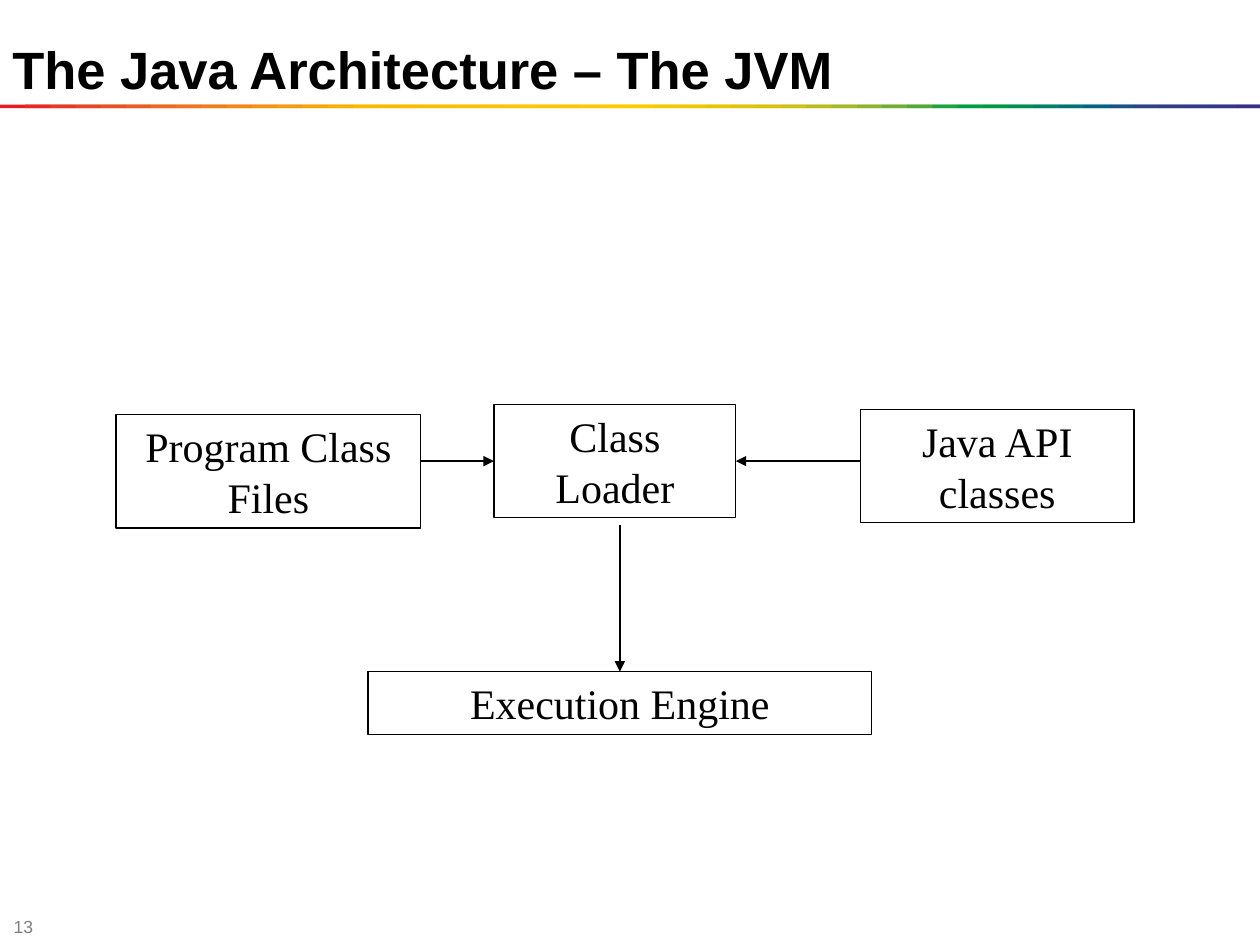
import pptx
import pptx.util
import pptx.dml.color
import pptx.enum.shapes
import pptx.enum.text
import pptx.oxml

Inches = pptx.util.Inches
ANCHOR = pptx.enum.text.MSO_ANCHOR
ALIGN = pptx.enum.text.PP_ALIGN
RECT = pptx.enum.shapes.MSO_SHAPE.RECTANGLE
LINE = pptx.enum.shapes.MSO_CONNECTOR.STRAIGHT
DRAW = 'xmlns:a="http://schemas.openxmlformats.org/drawingml/2006/main"'

TITLE = {"name": "Arial", "size": 30, "bold": True, "color": "000000"}
NUMBER = {"name": "Arial", "size": 10, "color": "7F7F7F"}
LABEL = {"name": "Times New Roman", "size": 24, "color": "000000"}

STRIPS = """
E31E24 E42C24 E53A24 E74623 E85122 EA5D21 EC691F EE741D EF7E1A F18817
F39314 F49C0F F6A607 F8B002 FBBA00 FBBB00 FBBD00 FCBF00 FCC000 FCC200
FDC400 FDC600 FDC700 FEC900 FECB00 FBCB00 F3CA00 ECC800 E4C602 DCC50A
D5C30E CCC117 B8BC21 A3B829 8CB230 71AD36 51A73B 1DA240 009D43 009846
008C57 008068 007275 00637F 185384 2E4285 313E85 333B85 353885 393185
""".split()


def color(code):
    return pptx.dml.color.RGBColor.from_string(code)


def write(shape, text, style, anchor, align):
    frame = shape.text_frame
    frame.word_wrap = True
    frame.vertical_anchor = anchor
    para = frame.paragraphs[0]
    para.alignment = align
    run = para.add_run()
    run.text = text
    for key, value in style.items():
        if key == "color":
            run.font.color.rgb = color(value)
        elif key == "size":
            run.font.size = pptx.util.Pt(value)
        else:
            setattr(run.font, key, value)


def add_text(slide, place, text, style, anchor):
    shape = slide.shapes.add_textbox(*map(Inches, place))
    write(shape, text, style, anchor, ALIGN.LEFT)


def add_rule(slide, top, height):
    group = slide.shapes.add_group_shape()
    step = 10 / len(STRIPS)
    for index, code in enumerate(STRIPS):
        left = index * step
        width = min(2 * step, 10 - left)
        strip = group.shapes.add_shape(RECT, *map(Inches, (left, top, width, height)))
        strip.shadow.inherit = False
        strip.fill.solid()
        strip.fill.fore_color.rgb = color(code)
        strip.line.fill.background()


def set_line(line):
    line.color.rgb = color("000000")
    line.width = pptx.util.Pt(0.75)


def add_box(slide, place, text):
    box = slide.shapes.add_shape(RECT, *map(Inches, place))
    box.shadow.inherit = False
    box.fill.background()
    set_line(box.line)
    write(box, text, LABEL, ANCHOR.MIDDLE, ALIGN.CENTER)
    return box


def add_arrow(slide, start, box, side):
    ends = map(Inches, start + start)
    arrow = slide.shapes.add_connector(LINE, *ends)
    arrow.end_connect(box, side)
    set_line(arrow.line)
    tail = pptx.oxml.parse_xml(f'<a:tailEnd {DRAW} type="triangle"/>')
    arrow.line._get_or_add_ln().append(tail)
    arrow._element.spPr.append(pptx.oxml.parse_xml(f"<a:effectLst {DRAW}/>"))


def main():
    deck = pptx.Presentation()
    deck.slide_width = Inches(10)
    deck.slide_height = Inches(7.5)
    slide = deck.slides.add_slide(deck.slide_layouts[6])

    add_text(slide, (0.01, 7.27, 0.39, 0.16), "13", NUMBER, ANCHOR.MIDDLE)
    add_rule(slide, 0.83, 0.03)
    add_text(slide, (0, 0.23, 8.27, 0.61), "The Java Architecture – The JVM",
             TITLE, ANCHOR.BOTTOM)

    add_box(slide, (0.92, 3.29, 2.42, 0.9), "Program Class Files")
    loader = add_box(slide, (3.92, 3.21, 1.92, 0.9), "Class Loader")
    add_box(slide, (6.83, 3.25, 2.17, 0.9), "Java API classes")
    engine = add_box(slide, (2.92, 5.33, 4, 0.5), "Execution Engine")

    add_arrow(slide, (3.34, 3.66), loader, 1)
    add_arrow(slide, (6.83, 3.66), loader, 3)
    add_arrow(slide, (4.92, 4.17), engine, 0)
    deck.save("out.pptx")


if __name__ == "__main__":
    main()
